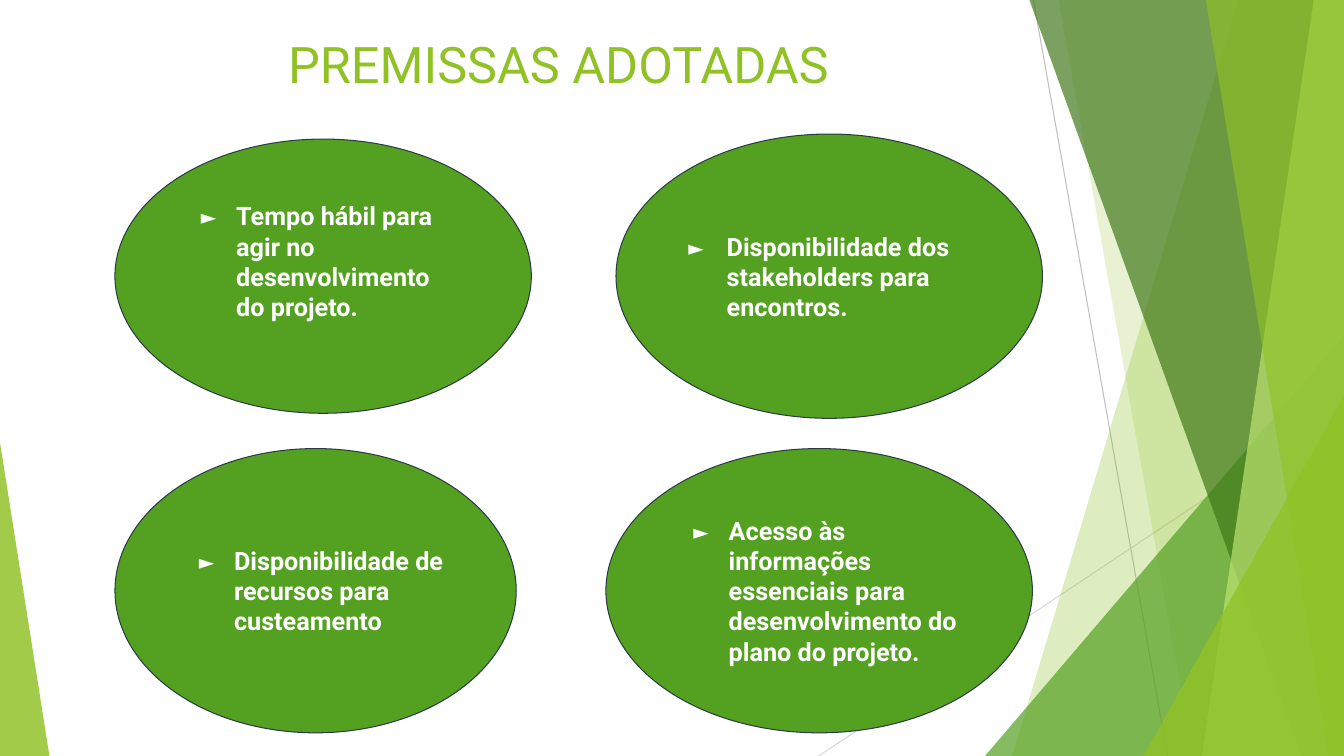
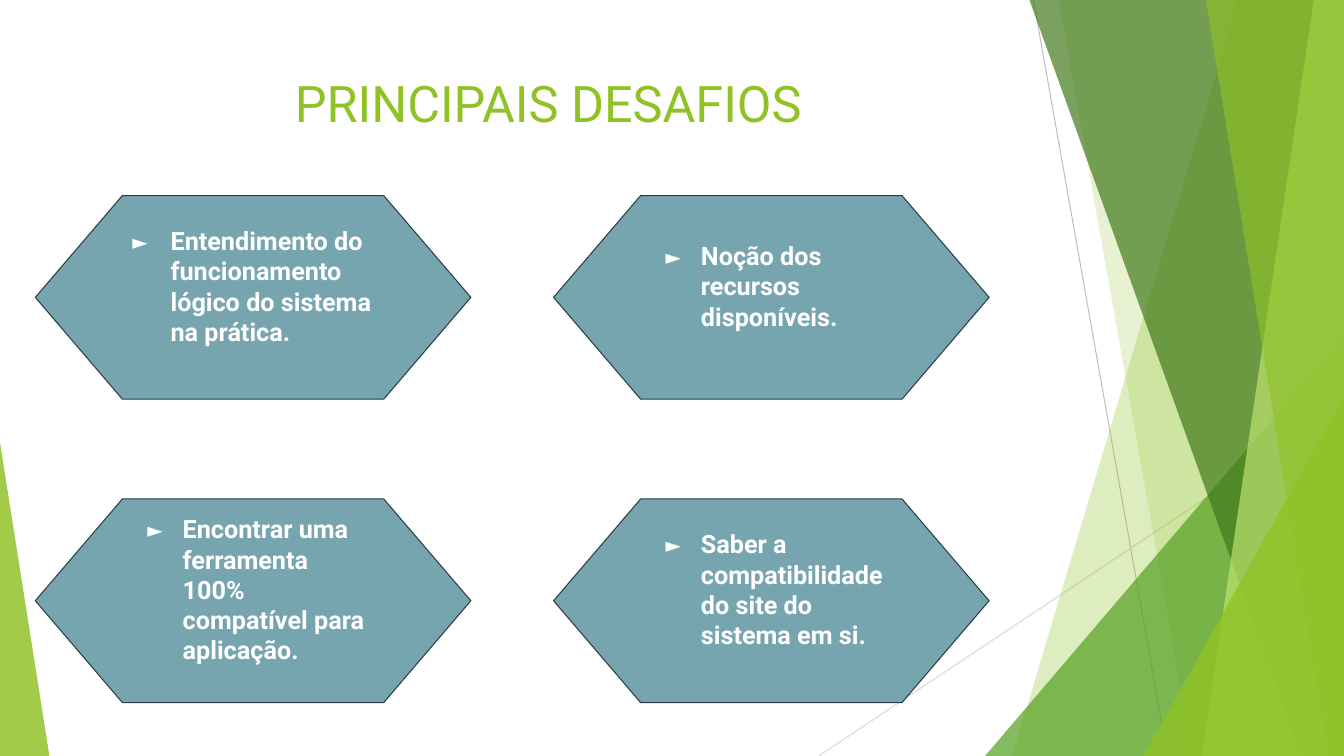
import dataclasses

import pptx
import pptx.dml.color
import pptx.enum.shapes
import pptx.enum.text
import pptx.oxml
import pptx.oxml.ns
import pptx.util

Inches = pptx.util.Inches
Pt = pptx.util.Pt
Preset = pptx.enum.shapes.MSO_SHAPE
qn = pptx.oxml.ns.qn

WIDTH, HEIGHT = 13.33, 7.5
FONT = "Roboto"
COLORS = {
    "lime": "90C226",
    "green": "54A021",
    "forest": "3F7818",
    "pale_lime": "BFE471",
    "teal": "76A5AF",
    "outline": "2C3C43",
    "gray": "BFBFBF",
    "light_gray": "D8D8D8",
    "white": "FFFFFF",
}


@dataclasses.dataclass
class Card:
    """A filled shape with one bulleted statement; lengths in inches."""

    left: float
    top: float
    width: float
    height: float
    text: str
    indent: float = 0.5
    hanging: float = 0.35
    bottom_inset: float = 0.1


def color(name):
    """Return a named colour."""
    return pptx.dml.color.RGBColor.from_string(COLORS[name])


def sub_element(parent, tag, **attributes):
    """Append a DrawingML element and return it."""
    element = pptx.oxml.parse_xml(f"<a:{tag} {pptx.oxml.ns.nsdecls('a')}/>")
    for name, value in attributes.items():
        element.set(name, value)
    parent.append(element)
    return element


def fill_translucent(shape, name, opacity):
    """Fill a shape without outline at an opacity in percent."""
    shape.shadow.inherit = False
    shape.fill.solid()
    shape.fill.fore_color.rgb = color(name)
    shape.line.fill.background()
    solid = shape._element.spPr.find(qn("a:solidFill"))
    sub_element(solid[0], "alpha", val=str(opacity * 1000))


def add_line(page, start, end, name):
    """Draw a thin straight line."""
    points = [Inches(value) for value in (*start, *end)]
    line = page.shapes.add_connector(pptx.enum.shapes.MSO_CONNECTOR.STRAIGHT, *points)
    line.line.color.rgb = color(name)
    line.line.width = Pt(0.75)
    sub_element(line._element.spPr, "effectLst")


def add_band(page, top_left, bottom_left, name, opacity):
    """Draw a slanted band that reaches the right edge."""
    builder = page.shapes.build_freeform(Inches(top_left), 0)
    corners = [(WIDTH, 0), (WIDTH, HEIGHT), (bottom_left, HEIGHT)]
    builder.add_line_segments([(Inches(x), Inches(y)) for x, y in corners])
    fill_translucent(builder.convert_to_shape(), name, opacity)


def add_corner(page, left, top, width, apex, name, opacity):
    """Draw a triangle that stands on the bottom edge."""
    lengths = [Inches(value) for value in (left, top, width, HEIGHT - top)]
    corner = page.shapes.add_shape(Preset.ISOSCELES_TRIANGLE, *lengths)
    corner.adjustments[0] = apex
    fill_translucent(corner, name, opacity)


def decorate_layout(page, layout):
    """Draw the shared background and hand it over to the layout."""
    add_line(page, (10.25, 0), (11.58, HEIGHT), "gray")
    add_line(page, (WIDTH, 4.03), (8.12, HEIGHT), "light_gray")
    add_band(page, 12.28, 10.04, "lime", 29)
    add_band(page, 10.5, 11.83, "lime", 20)
    add_corner(page, 9.77, 3.33, 3.56, 1, "green", 71)
    add_band(page, 10.21, 12.91, "forest", 69)
    add_band(page, 13.03, 11.92, "pale_lime", 69)
    add_band(page, 11.96, 13.18, "lime", 64)
    add_corner(page, 11.34, 3.93, 1.99, 1, "lime", 80)
    add_corner(page, 0, 4.39, 0.49, 0, "lime", 84)
    drawn = [shape for shape in page.shapes if not shape.is_placeholder]
    for index, shape in enumerate(drawn):
        shape._element.xpath(".//p:cNvPr")[0].set("id", str(100 + index))
        layout.shapes._spTree.insert(2 + index, shape._element)


def set_title(page, text, left, top):
    """Place and format the slide title."""
    title = page.shapes.title
    title.left, title.top = Inches(left), Inches(top)
    title.width, title.height = Inches(9.4), Inches(1.44)
    frame = title.text_frame
    frame.text = text
    frame.auto_size = pptx.enum.text.MSO_AUTO_SIZE.NONE
    frame.vertical_anchor = pptx.enum.text.MSO_ANCHOR.TOP
    para = frame.paragraphs[0]
    para.alignment = pptx.enum.text.PP_ALIGN.CENTER
    para.font.name, para.font.size = FONT, Pt(36)
    para.font.color.rgb = color("lime")


def add_bullet(para, indent, hanging):
    """Give a paragraph a white arrow bullet with a hanging indent."""
    properties = para._p.get_or_add_pPr()
    properties.set("marL", str(Inches(indent)))
    properties.set("indent", str(-Inches(hanging)))
    bullet_color = sub_element(properties, "buClr")
    sub_element(bullet_color, "srgbClr", val=COLORS["white"])
    sub_element(properties, "buSzPct", val="80000")
    sub_element(properties, "buFont", typeface="Noto Sans Symbols")
    sub_element(properties, "buChar", char="►")


def add_card(page, preset, fill, card):
    """Draw a card with its bulleted statement."""
    lengths = [Inches(value) for value in (card.left, card.top, card.width, card.height)]
    box = page.shapes.add_shape(preset, *lengths)
    box.shadow.inherit = False
    box.fill.solid()
    box.fill.fore_color.rgb = color(fill)
    box.line.color.rgb = color("outline")
    box.line.width = Pt(0.75)
    frame = box.text_frame
    frame.word_wrap = True
    frame.vertical_anchor = pptx.enum.text.MSO_ANCHOR.MIDDLE
    frame.margin_left = frame.margin_right = frame.margin_top = Inches(0.1)
    frame.margin_bottom = Inches(card.bottom_inset)
    frame.text = card.text
    para = frame.paragraphs[0]
    para.alignment = pptx.enum.text.PP_ALIGN.LEFT
    add_bullet(para, card.indent, card.hanging)
    para.font.name, para.font.size, para.font.bold = FONT, Pt(18), True
    para.font.color.rgb = color("white")


def premise_cards():
    """Return the cards of the premises slide."""
    return [
        Card(1.14, 1.38, 4.13, 2.72,
             "Tempo hábil para agir no desenvolvimento do projeto.", bottom_inset=0.4),
        Card(6.11, 1.33, 4.23, 2.82,
             "Disponibilidade dos stakeholders para encontros.", 0.38, 0.38),
        Card(1.14, 4.45, 3.98, 2.82, "Disponibilidade de recursos para custeamento"),
        Card(6.01, 4.45, 4.23, 2.82,
             "Acesso às informações essenciais para desenvolvimento do plano do projeto."),
    ]


def challenge_cards():
    """Return the cards of the challenges slide on a two by two grid."""
    statements = [
        ("Entendimento do funcionamento lógico do sistema na prática.", 0.38, 0.38),
        ("Noção dos recursos disponíveis.", 0.5, 0.35),
        ("Encontrar uma ferramenta 100% compatível para aplicação.", 0.5, 0.35),
        ("Saber a compatibilidade do site do sistema em si.", 0.5, 0.35),
    ]
    cards = []
    for index, (text, indent, hanging) in enumerate(statements):
        row, column = divmod(index, 2)
        cards.append(Card(0.35 + 5.14 * column, 1.94 + 3.01 * row, 4.32, 2.02,
                          text, indent, hanging, 0.33))
    return cards


def add_page(deck, layout, title, position, preset, fill, cards):
    """Add a slide with a title and four cards."""
    page = deck.slides.add_slide(layout)
    if len(deck.slides) == 1:
        decorate_layout(page, layout)
    set_title(page, title, *position)
    for card in cards:
        add_card(page, preset, fill, card)


def main():
    """Build and save the deck."""
    deck = pptx.Presentation()
    deck.slide_width, deck.slide_height = Inches(WIDTH), Inches(HEIGHT)
    layout = deck.slide_layouts.get_by_name("Title Only")
    add_page(deck, layout, "PREMISSAS ADOTADAS", (0.84, 0.28),
             Preset.OVAL, "green", premise_cards())
    add_page(deck, layout, "PRINCIPAIS DESAFIOS", (0.74, 0.67),
             Preset.FLOWCHART_PREPARATION, "teal", challenge_cards())
    deck.save("out.pptx")


if __name__ == "__main__":
    main()
